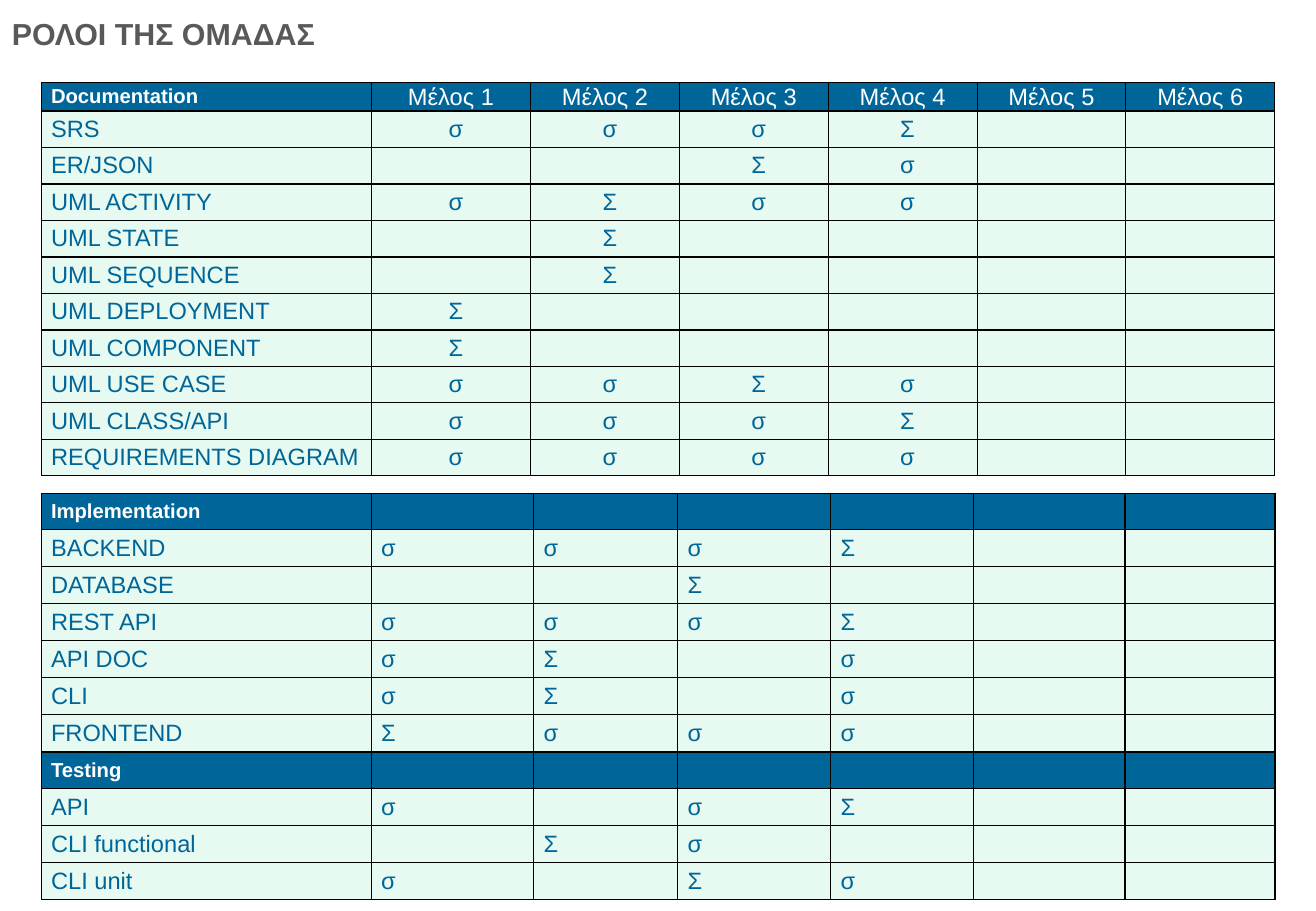
from lxml import etree
from pptx import Presentation
from pptx import util as u
from pptx.dml.color import RGBColor
from pptx.enum import text
from pptx.oxml.ns import qn

COLORS = {"title": "595959", "head": "006699", "body": "E6FAF1",
          "white": "FFFFFF", "line": "000000"}
FONT = "Arial"
SLIDE_W, SLIDE_H = u.Inches(10.83), u.Inches(7.5)
LEFT = 3.14
LEFT_AL, CENTER = text.PP_ALIGN.LEFT, text.PP_ALIGN.CENTER

# Text formats
TITLE = {"size": u.Pt(18), "bold": True, "color": "title"}
SECTION = {"size": u.Pt(12), "bold": True, "color": "white"}
MEMBER = {"size": u.Pt(14), "bold": False, "color": "white"}
ENTRY = {"size": u.Pt(14), "bold": False, "color": "head"}

# Each row: label and one mark per member; None marks a section heading
DOCUMENTATION = [
    ("Documentation", None),
    ("SRS", "σσσΣ"),
    ("ER/JSON", "--Σσ"),
    ("UML ACTIVITY", "σΣσσ"),
    ("UML STATE", "-Σ--"),
    ("UML SEQUENCE", "-Σ--"),
    ("UML DEPLOYMENT", "Σ---"),
    ("UML COMPONENT", "Σ---"),
    ("UML USE CASE", "σσΣσ"),
    ("UML CLASS/API", "σσσΣ"),
    ("REQUIREMENTS DIAGRAM", "σσσσ"),
]
IMPLEMENTATION = [
    ("Implementation", None),
    ("BACKEND", "σσσΣ"),
    ("DATABASE", "--Σ-"),
    ("REST API", "σσσΣ"),
    ("API DOC", "σΣ-σ"),
    ("CLI", "σΣ-σ"),
    ("FRONTEND", "Σσσσ"),
    ("Testing", None),
    ("API", "σ-σΣ"),
    ("CLI functional", "-Σσ-"),
    ("CLI unit", "σ-Σσ"),
]
MEMBERS = [f"Μέλος {i}" for i in range(1, 7)]


def across(percent):
    return round(SLIDE_W * percent / 100)


def down(percent):
    return round(SLIDE_H * percent / 100)


def write(tf, words, fmt, align=LEFT_AL):
    p = tf.paragraphs[0]
    p.alignment = align
    r = p.add_run()
    r.text = words
    r.font.name = FONT
    for name, value in fmt.items():
        if name == "color":
            r.font.color.rgb = RGBColor.from_string(COLORS[value])
        else:
            setattr(r.font, name, value)


def add_borders(cell):
    tc_pr = cell._tc.get_or_add_tcPr()
    for i, side in enumerate(("lnL", "lnR", "lnT", "lnB")):
        ln = etree.Element(qn(f"a:{side}"), w=str(u.Pt(0.75)))
        fill = etree.SubElement(ln, qn("a:solidFill"))
        etree.SubElement(fill, qn("a:srgbClr"), val=COLORS["line"])
        tc_pr.insert(i, ln)


def style_cell(cell, fill):
    cell.fill.solid()
    cell.fill.fore_color.rgb = RGBColor.from_string(COLORS[fill])
    cell.vertical_anchor = text.MSO_ANCHOR.MIDDLE
    margins = {"left": 0.08, "right": 0, "top": 0, "bottom": 0}
    for side, value in margins.items():
        setattr(cell, f"margin_{side}", u.Inches(value))
    add_borders(cell)


def add_roles(s, rows, top, widths, head_h, row_h, align, members=()):
    heights = [head_h if marks is None else row_h for _, marks in rows]
    frame = s.shapes.add_table(len(rows), len(widths), across(LEFT), down(top),
                               across(sum(widths)), down(sum(heights)))
    table = frame.table
    table.horz_banding = False
    for col, width in zip(table.columns, widths):
        col.width = across(width)
    for i, (label, marks) in enumerate(rows):
        table.rows[i].height = down(heights[i])
        is_head = marks is None
        for cell in table.rows[i].cells:
            style_cell(cell, "head" if is_head else "body")
        write(table.cell(i, 0).text_frame, label, SECTION if is_head else ENTRY)
        values = members if is_head else marks
        for j, value in enumerate(values, 1):
            if value != "-":
                cell = table.cell(i, j)
                if is_head:
                    cell.margin_right = cell.margin_left
                write(cell.text_frame, value, MEMBER if is_head else ENTRY, align)


def add_title(s, words):
    sp = s.shapes.add_textbox(0, 0, SLIDE_W, down(7.33))
    tf = sp.text_frame
    tf.word_wrap = True
    tf.vertical_anchor = text.MSO_ANCHOR.MIDDLE
    write(tf, words, TITLE)


def main():
    prs = Presentation()
    prs.slide_width, prs.slide_height = SLIDE_W, SLIDE_H
    s = prs.slides.add_slide(prs.slide_layouts[6])

    add_title(s, "ΡΟΛΟΙ ΤΗΣ ΟΜΑΔΑΣ")
    # Implementation and testing roles
    add_roles(s, IMPLEMENTATION, 54.13,
              [25.08, 12.35, 10.94, 11.63, 10.87, 11.48, 11.4],
              3.73, 4.07, LEFT_AL)
    # Documentation roles, headed by the members
    add_roles(s, DOCUMENTATION, 9.07, [25.08, 12.1] + [11.31] * 5,
              3.07, 3.96, CENTER, MEMBERS)
    prs.save("out.pptx")


if __name__ == "__main__":
    main()
